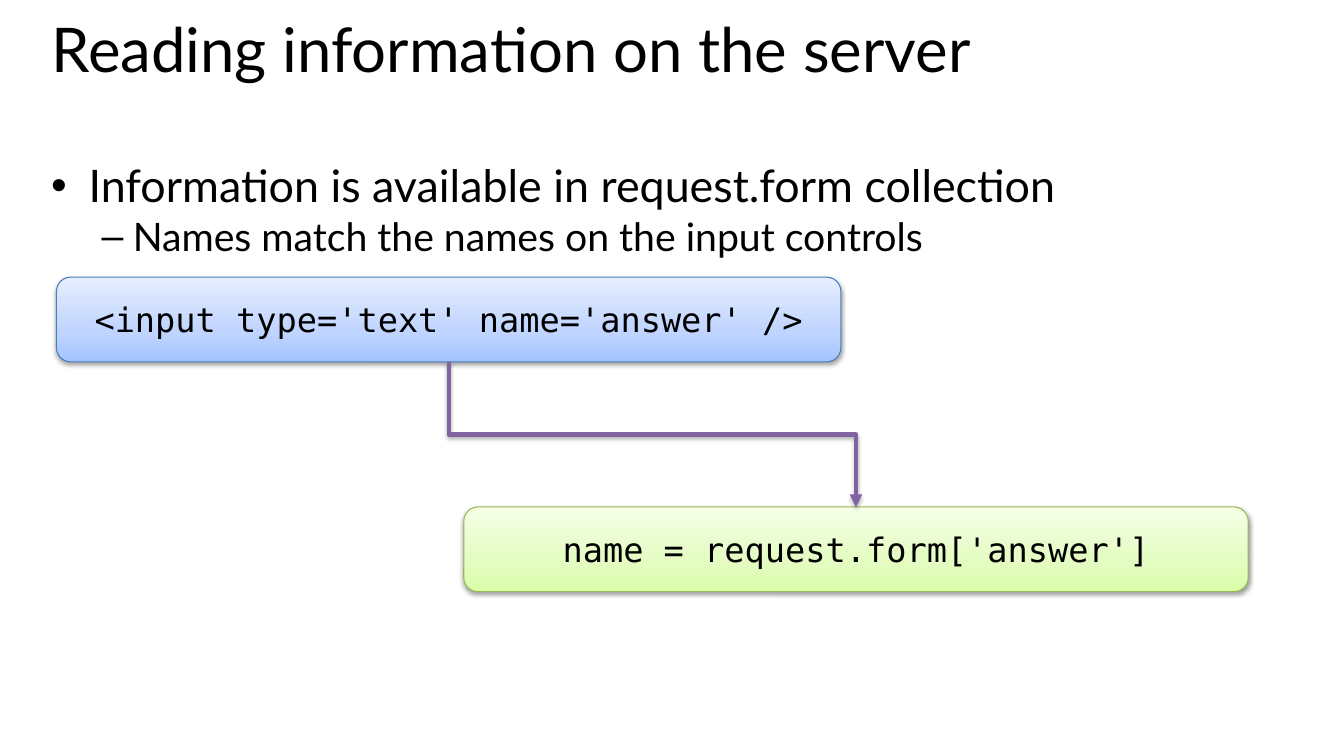
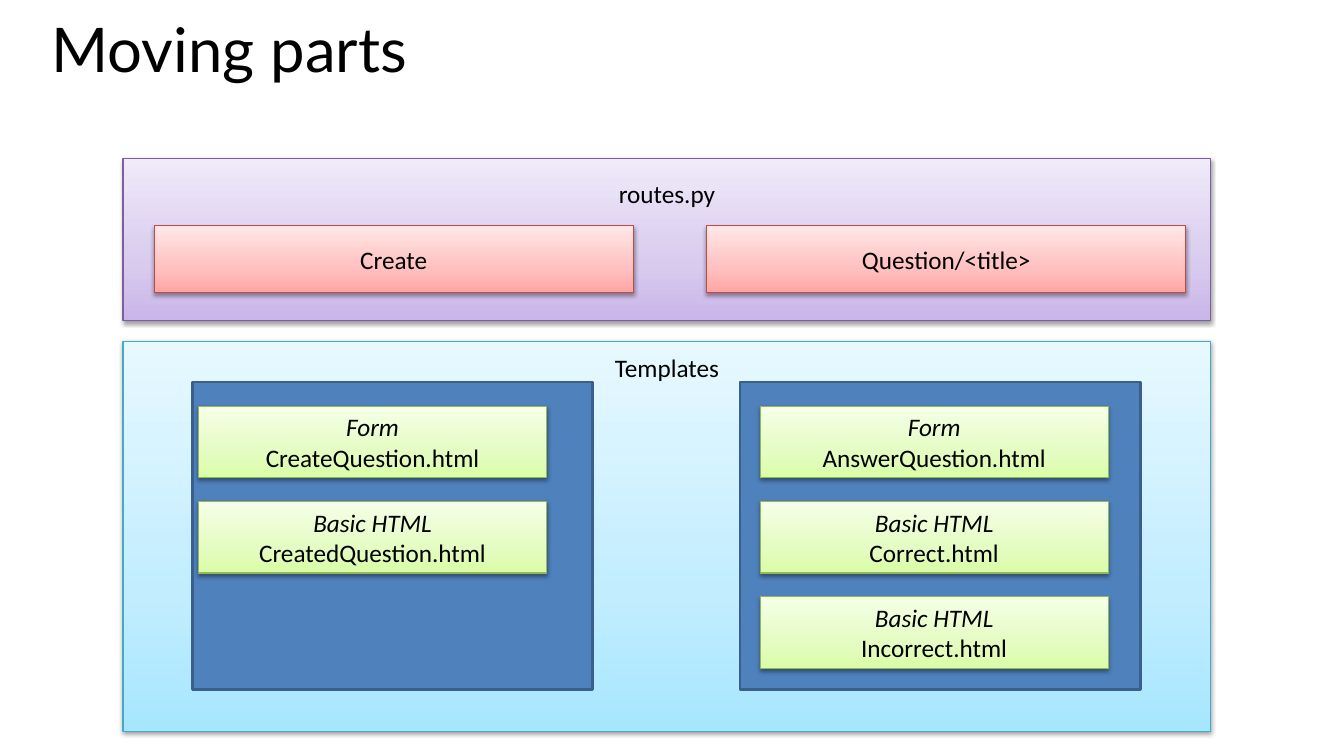
import pptx
import pptx.util
import pptx.dml.color
import pptx.enum.shapes
import pptx.enum.text
import pptx.oxml
import pptx.oxml.ns
from lxml import etree

Inches, Pt = pptx.util.Inches, pptx.util.Pt
RGB = pptx.dml.color.RGBColor
MSO = pptx.enum.shapes.MSO_SHAPE
ANCHOR = pptx.enum.text.MSO_ANCHOR
ALIGN = pptx.enum.text.PP_ALIGN
qn = pptx.oxml.ns.qn

# Shared style: line colour, then gradient stops from bottom to top
BLACK = RGB(0x00, 0x00, 0x00)
STEEL, STEEL_EDGE = RGB(0x4F, 0x81, 0xBD), RGB(0x3A, 0x5F, 0x8C)
ARROW = RGB(0x80, 0x64, 0xA2)
BLUE = [RGB.from_string(c) for c in ("4A7EBB", "A4C4FF", "BFD4FF", "E6EEFF")]
GREEN = [RGB.from_string(c) for c in ("98B855", "DAFDA7", "E4FCC2", "F5FFE7")]
PURPLE = [RGB.from_string(c) for c in ("7D5FA0", "C9B5E8", "D8CBEE", "F0EAF9")]
RED = [RGB.from_string(c) for c in ("BE4B48", "FFA6A5", "FFC0BF", "FFE7E7")]
CYAN = [RGB.from_string(c) for c in ("46AAC4", "A7E6FF", "C1EDFF", "E7F8FF")]
STOPS = (0, 35, 100)
TITLE_FONT, LABEL_FONT, CODE_FONT = "Lato", "Calibri", "DejaVu Sans Mono"
MARGIN, TEXT_W = 0.41, 12.6
SHADOW = ('<a:effectLst xmlns:a="http://schemas.openxmlformats.org/drawingml/2006/main">'
          '<a:outerShdw blurRad="40000" dist="%d" dir="5400000" rotWithShape="0">'
          '<a:srgbClr val="000000"><a:alpha val="%d"/></a:srgbClr>'
          '</a:outerShdw></a:effectLst>')

prs = pptx.Presentation()
prs.slide_width, prs.slide_height = Inches(13.33), Inches(7.5)


def add_slide(title):
    s = prs.slides.add_slide(prs.slide_layouts[5])
    sp = s.shapes.title
    sp.left, sp.top, sp.width, sp.height = map(Inches, (MARGIN, 0.2, TEXT_W, 1.16))
    tf = sp.text_frame
    tf.vertical_anchor = ANCHOR.TOP
    tf.auto_size = pptx.enum.text.MSO_AUTO_SIZE.NONE
    p = tf.paragraphs[0]
    p.alignment, p.line_spacing = ALIGN.LEFT, 0.8
    r = p.add_run()
    r.text = title
    r.font.name, r.font.size, r.font.color.rgb = TITLE_FONT, Pt(44), BLACK
    return s


def add_box(s, x, y, w, h, theme, lines, kind=MSO.RECTANGLE,
            font=LABEL_FONT, size=18, label_top=None):
    """Shaded box; lines are (text, italic) pairs, one paragraph each."""
    sp = s.shapes.add_shape(kind, *map(Inches, (x, y, w, h)))
    sp.fill.gradient()
    sp.fill.gradient_angle = 90
    stops = sp.fill._fill._gradFill.find(qn("a:gsLst"))
    for gs in list(stops):
        stops.remove(gs)
    for pos, color in zip(STOPS, theme[1:]):
        gs = etree.SubElement(stops, qn("a:gs"), pos=str(pos * 1000))
        etree.SubElement(gs, qn("a:srgbClr"), val=str(color))
    sp.line.color.rgb, sp.line.width = theme[0], Pt(0.75)
    sp._element.spPr.append(pptx.oxml.parse_xml(SHADOW % (20000, 38000)))
    tf = sp.text_frame
    tf.word_wrap = True
    tf.vertical_anchor = ANCHOR.MIDDLE
    if label_top is not None:
        tf.vertical_anchor, tf.margin_top = ANCHOR.TOP, Inches(label_top)
    for i, (text, italic) in enumerate(lines):
        p = tf.add_paragraph() if i else tf.paragraphs[0]
        p.alignment = ALIGN.CENTER
        r = p.add_run()
        r.text = text
        r.font.name, r.font.size, r.font.color.rgb = font, Pt(size), BLACK
        r.font.italic = italic
    return sp


# Slide 1: form field to server code
s = add_slide("Reading information on the server")
tf = s.shapes.add_textbox(*map(Inches, (MARGIN, 1.52, TEXT_W, 5.79))).text_frame
tf.word_wrap = True
bullets = [("Information is available in request.form collection", 32, 0.37, 0.37, "•"),
           ("Names match the names on the input controls", 28, 0.81, 0.31, "–")]
for level, (text, size, left, hang, mark) in enumerate(bullets):
    p = tf.add_paragraph() if level else tf.paragraphs[0]
    p.level = level
    pPr = p._p.get_or_add_pPr()
    pPr.set("marL", str(Inches(left)))
    pPr.set("indent", str(-Inches(hang)))
    etree.SubElement(pPr, qn("a:buFont"), typeface="Arial")
    etree.SubElement(pPr, qn("a:buChar"), char=mark)
    r = p.add_run()
    r.text = text
    r.font.name, r.font.size, r.font.color.rgb = TITLE_FONT, Pt(size), BLACK

code_w, code_h = 7.78, 0.84
field, reader = [
    add_box(s, x, y, code_w, code_h, theme, [(text, False)],
            MSO.ROUNDED_RECTANGLE, CODE_FONT, 24)
    for x, y, theme, text in (
        (0.56, 2.75, BLUE, "<input type='text' name='answer' />"),
        (4.6, 5.03, GREEN, "name = request.form['answer']"))]

# Elbow arrow, turned so that it leaves downwards and arrives from above
x1, y1 = field.left + field.width // 2, field.top + field.height
x2, y2 = reader.left + reader.width // 2, reader.top
mid_x, mid_y = (x1 + x2) // 2, (y1 + y2) // 2
half_w, half_h = (y2 - y1) // 2, (x2 - x1) // 2
arrow = s.shapes.add_connector(pptx.enum.shapes.MSO_CONNECTOR.ELBOW,
                               mid_x + half_w, mid_y - half_h,
                               mid_x - half_w, mid_y + half_h)
arrow.line.color.rgb, arrow.line.width = ARROW, Pt(3)
spPr = arrow._element.spPr
spPr.find(qn("a:xfrm")).set("rot", str(270 * 60000))
etree.SubElement(spPr.find(qn("a:ln")), qn("a:tailEnd"), type="triangle")
spPr.append(pptx.oxml.parse_xml(SHADOW % (23000, 35000)))

# Slide 2: routes above, templates below
s = add_slide("Moving parts")
panel_x, panel_w = 1.22, 10.79
add_box(s, panel_x, 1.57, panel_w, 1.61, PURPLE, [("routes.py", False)], label_top=0.2)
for x, route in ((1.53, "Create"), (7.01, "Question/<title>")):
    add_box(s, x, 2.24, 4.75, 0.66, RED, [(route, False)])

add_box(s, panel_x, 3.39, panel_w, 3.87, CYAN, [("Templates", False)], label_top=0.11)
card_top, card_step = 4.03, 1.89 / 2
groups = [(1.91, 1.97, [("Form", "CreateQuestion.html"),
                        ("Basic HTML", "CreatedQuestion.html")]),
          (7.34, 7.54, [("Form", "AnswerQuestion.html"),
                        ("Basic HTML", "Correct.html"),
                        ("Basic HTML", "Incorrect.html")])]
for group_x, card_x, cards in groups:
    sp = s.shapes.add_shape(MSO.RECTANGLE, *map(Inches, (group_x, 3.79, 3.97, 3.05)))
    sp.shadow.inherit = False
    sp.fill.solid()
    sp.fill.fore_color.rgb = STEEL
    sp.line.color.rgb, sp.line.width = STEEL_EDGE, Pt(2)
    for row, (kind, name) in enumerate(cards):
        add_box(s, card_x, card_top + row * card_step, 3.45, 0.71, GREEN,
                [(kind, True), (name, False)])

prs.save("out.pptx")
